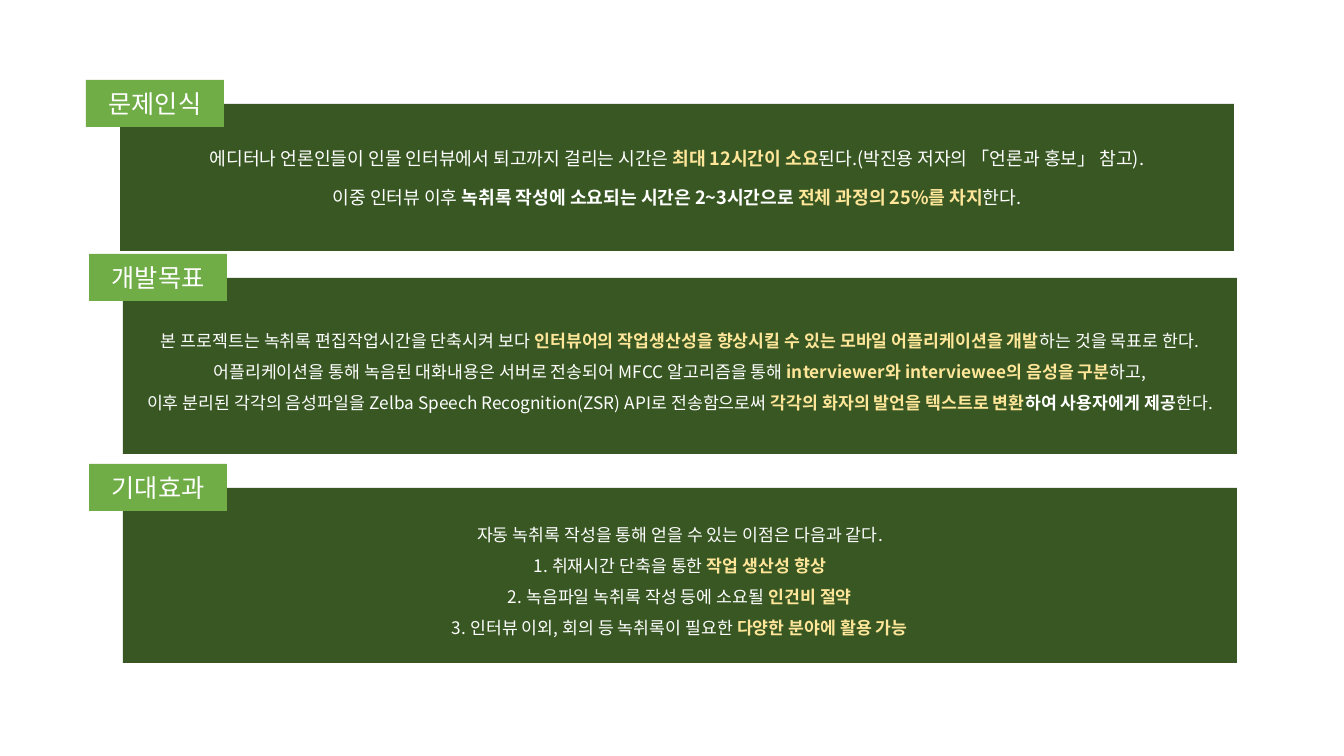
from pptx import Presentation
from pptx import util as u
from pptx.dml.color import RGBColor
from pptx.enum import shapes, text
from pptx.oxml.ns import qn
from lxml import etree

FONT = "Noto Sans CJK KR"
DARK_GREEN = RGBColor(0x38, 0x57, 0x23)
LIGHT_GREEN = RGBColor(0x70, 0xAD, 0x47)
WHITE = RGBColor(0xFF, 0xFF, 0xFF)
YELLOW = RGBColor(0xFF, 0xE6, 0x99)

# Run styles: (colour, bold)
PLAIN, STRONG, KEY = (WHITE, False), (WHITE, True), (YELLOW, True)

PROBLEM = [
    [("에디터나 언론인들이 인물 인터뷰에서 퇴고까지 걸리는 시간은 ", PLAIN),
     ("최대 12시간이 소요", KEY),
     ("된다.(박진용 저자의 「언론과 홍보」 참고).", PLAIN)],
    [("이중 인터뷰 이후 ", PLAIN),
     ("녹취록 작성에 소요되는 시간은 2~3시간으로 ", STRONG),
     ("전체 과정의 25%를 차지", KEY),
     ("한다.", PLAIN)],
]
GOAL = [
    [("본 프로젝트는 녹취록 편집작업시간을 단축시켜 보다 ", PLAIN),
     ("인터뷰어의 작업생산성을 향상시킬 수 있는 모바일 어플리케이션을 개발", KEY),
     ("하는 것을 목표로 한다. 어플리케이션을 통해 녹음된 대화내용은 서버로 전송되어 "
      "MFCC 알고리즘을 통해 ", PLAIN),
     ("interviewer와 interviewee의 음성을 구분", KEY),
     ("하고,", PLAIN)],
    [("이후 분리된 각각의 음성파일을 Zelba Speech Recognition(ZSR) API로 전송함으로써 ", PLAIN),
     ("각각의 화자의 발언을 텍스트로 변환", KEY),
     ("하여 사용자에게 제공", STRONG),
     ("한다.", PLAIN)],
]
EFFECT = [
    [("자동 녹취록 작성을 통해 얻을 수 있는 이점은 다음과 같다.", PLAIN)],
    [("1. 취재시간 단축을 통한 ", PLAIN), ("작업 생산성 향상", KEY)],
    [("2. 녹음파일 녹취록 작성 등에 소요될 ", PLAIN), ("인건비 절약", KEY)],
    [("3. 인터뷰 이외, 회의 등 녹취록이 필요한 ", PLAIN), ("다양한 분야에 활용 가능", KEY)],
]

# heading, paragraphs, panel left, top, height (px), size (pt), line spacing, paragraph gap (pt)
SECTIONS = [
    ("문제인식", PROBLEM, 120, 104, 147, 13, 1.0, 12),
    ("개발목표", GOAL, 123, 278, 176, 12.3, 1.5, 0),
    ("기대효과", EFFECT, 123, 488, 175, 12.3, 1.5, 0),
]
PANEL_WIDTH = 1114
TAG_WIDTH, TAG_HEIGHT, TAG_SIZE = 138, 47, 18
TAG_SHIFT_X, TAG_SHIFT_Y = -34, -24  # from the panel's top left corner


def px(length):
    return u.Emu(round(length * 914400 / 100.8))


def add_box(slide, left, top, width, height, fill, paragraphs, size, spacing=1.0, gap=0):
    box = slide.shapes.add_shape(shapes.MSO_SHAPE.RECTANGLE,
                                 px(left), px(top), px(width), px(height))
    box.shadow.inherit = False
    box.fill.solid()
    box.fill.fore_color.rgb = fill
    box.line.fill.background()
    frame = box.text_frame
    frame.word_wrap = True
    frame.vertical_anchor = text.MSO_ANCHOR.MIDDLE
    for index, pieces in enumerate(paragraphs):
        paragraph = frame.add_paragraph() if index else frame.paragraphs[0]
        paragraph.alignment = text.PP_ALIGN.CENTER
        paragraph.line_spacing = spacing
        paragraph.space_before = u.Pt(gap if index else 0)
        paragraph.font.size = u.Pt(size)
        paragraph.font.name = FONT
        for words, (colour, bold) in pieces:
            run = paragraph.add_run()
            run.text = words
            run.font.color.rgb = colour
            run.font.bold = bold
            # Hangul takes its typeface from a:ea
            etree.SubElement(run.font._element, qn("a:ea"), typeface=FONT)


def main():
    deck = Presentation()
    deck.slide_width, deck.slide_height = px(1344), px(756)
    slide = deck.slides.add_slide(deck.slide_layouts[6])
    for heading, paragraphs, left, top, height, size, spacing, gap in SECTIONS:
        add_box(slide, left, top, PANEL_WIDTH, height, DARK_GREEN,
                paragraphs, size, spacing, gap)
        add_box(slide, left + TAG_SHIFT_X, top + TAG_SHIFT_Y, TAG_WIDTH, TAG_HEIGHT,
                LIGHT_GREEN, [[(heading, PLAIN)]], TAG_SIZE)
    deck.save("out.pptx")


if __name__ == "__main__":
    main()
